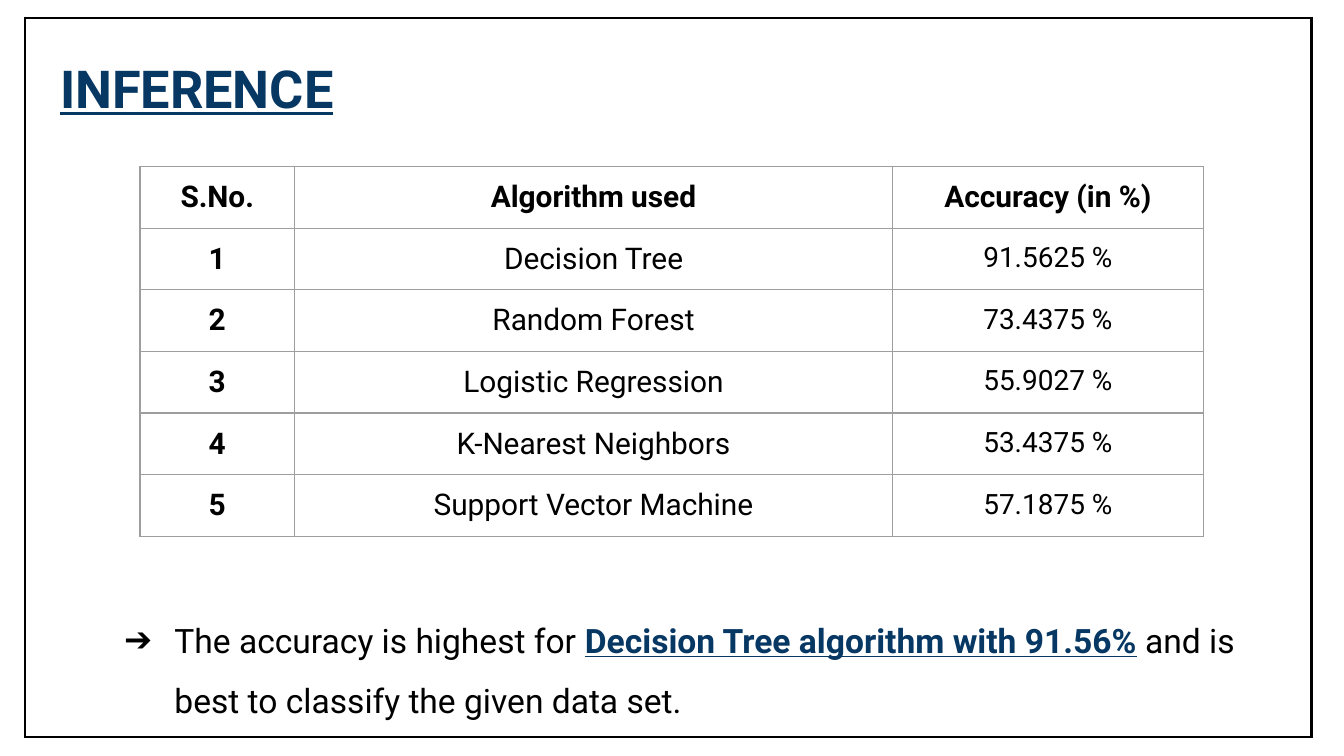
from lxml import etree
from pptx import Presentation
from pptx.dml.color import RGBColor
from pptx.enum.text import MSO_AUTO_SIZE, PP_ALIGN
from pptx.oxml.ns import qn
from pptx.util import Pt

BLACK = RGBColor(0x00, 0x00, 0x00)
NAVY = RGBColor(0x07, 0x37, 0x63)
GREY = RGBColor(0x9E, 0x9E, 0x9E)
CENTER = PP_ALIGN.CENTER
GROW = MSO_AUTO_SIZE.SHAPE_TO_FIT_TEXT
FONT = "Roboto"
INSET = Pt(7.2)


def add_run(paragraph, text, size, color=BLACK, bold=False, underline=False):
    run = paragraph.add_run()
    run.text = text
    run.font.name = FONT
    run.font.size = Pt(size)
    run.font.color.rgb = color
    run.font.bold = bold
    run.font.underline = underline


def add_grid(left, top, column_widths, row_height, row_count, color, weight):
    grid = slide.shapes.add_table(
        row_count, len(column_widths), Pt(left), Pt(top),
        Pt(sum(column_widths)), Pt(row_height * row_count)).table
    grid.first_row = False
    grid.horz_banding = False
    for column, width in zip(grid.columns, column_widths):
        column.width = Pt(width)
    for row in grid.rows:
        row.height = Pt(row_height)
    for cell in grid.iter_cells():
        cell.margin_left = cell.margin_right = INSET
        cell.margin_top = cell.margin_bottom = INSET
        properties = cell._tc.get_or_add_tcPr()
        for side in ("a:lnL", "a:lnR", "a:lnT", "a:lnB"):
            border = etree.SubElement(properties, qn(side), w=str(Pt(weight)))
            fill = etree.SubElement(border, qn("a:solidFill"))
            etree.SubElement(fill, qn("a:srgbClr"), val=str(color))
        cell.fill.background()
    return grid


prs = Presentation()
prs.slide_width = Pt(720)
prs.slide_height = Pt(405)
slide = prs.slides.add_slide(prs.slide_layouts[6])

headers = ("S.No.", "Algorithm used", "Accuracy (in %)")
results = [
    ("Decision Tree", "91.5625 %"),
    ("Random Forest", "73.4375 %"),
    ("Logistic Regression", "55.9027 %"),
    ("K-Nearest Neighbors", "53.4375 %"),
    ("Support Vector Machine", "57.1875 %"),
]
rows = [headers] + [(str(n), *result) for n, result in enumerate(results, 1)]
accuracy_table = add_grid(75, 89.2, (82.8, 320.4, 166.5), 33, len(rows), GREY, 0.75)
for r, row in enumerate(rows):
    for c, text in enumerate(row):
        paragraph = accuracy_table.cell(r, c).text_frame.paragraphs[0]
        paragraph.alignment = CENTER
        size = 15 if r > 0 and c == 2 else 16
        add_run(paragraph, text, size, bold=r == 0 or c == 0)

heading_box = slide.shapes.add_textbox(Pt(25.2), Pt(26.6), Pt(386.6), Pt(48.2))
conclusion_box = slide.shapes.add_textbox(Pt(50.4), Pt(313.9), Pt(620), Pt(69))
for box in (heading_box, conclusion_box):
    frame = box.text_frame
    frame.word_wrap = True
    frame.auto_size = GROW
    frame.margin_left = frame.margin_right = INSET
    frame.margin_top = frame.margin_bottom = INSET

heading = heading_box.text_frame.paragraphs[0]
heading.line_spacing = 0.9
heading.space_after = Pt(6)
add_run(heading, "INFERENCE", 28, NAVY, True, True)

conclusion = conclusion_box.text_frame.paragraphs[0]
conclusion.line_spacing = 1.5
bullet = conclusion._p.get_or_add_pPr()
bullet.set("marL", str(Pt(36)))
bullet.set("indent", str(Pt(-27)))
bullet_color = etree.SubElement(bullet, qn("a:buClr"))
etree.SubElement(bullet_color, qn("a:srgbClr"), val=str(BLACK))
etree.SubElement(bullet, qn("a:buFont"), typeface=FONT)
etree.SubElement(bullet, qn("a:buChar"), char="➔")
add_run(conclusion, "The accuracy is highest for ", 18)
add_run(conclusion, "Decision Tree algorithm with 91.56%", 18, NAVY, True, True)
add_run(conclusion, " and is best to classify the given data set.", 18)

add_grid(13.5, 9.5, (689,), 385.2, 1, BLACK, 1.5)

prs.save("out.pptx")
